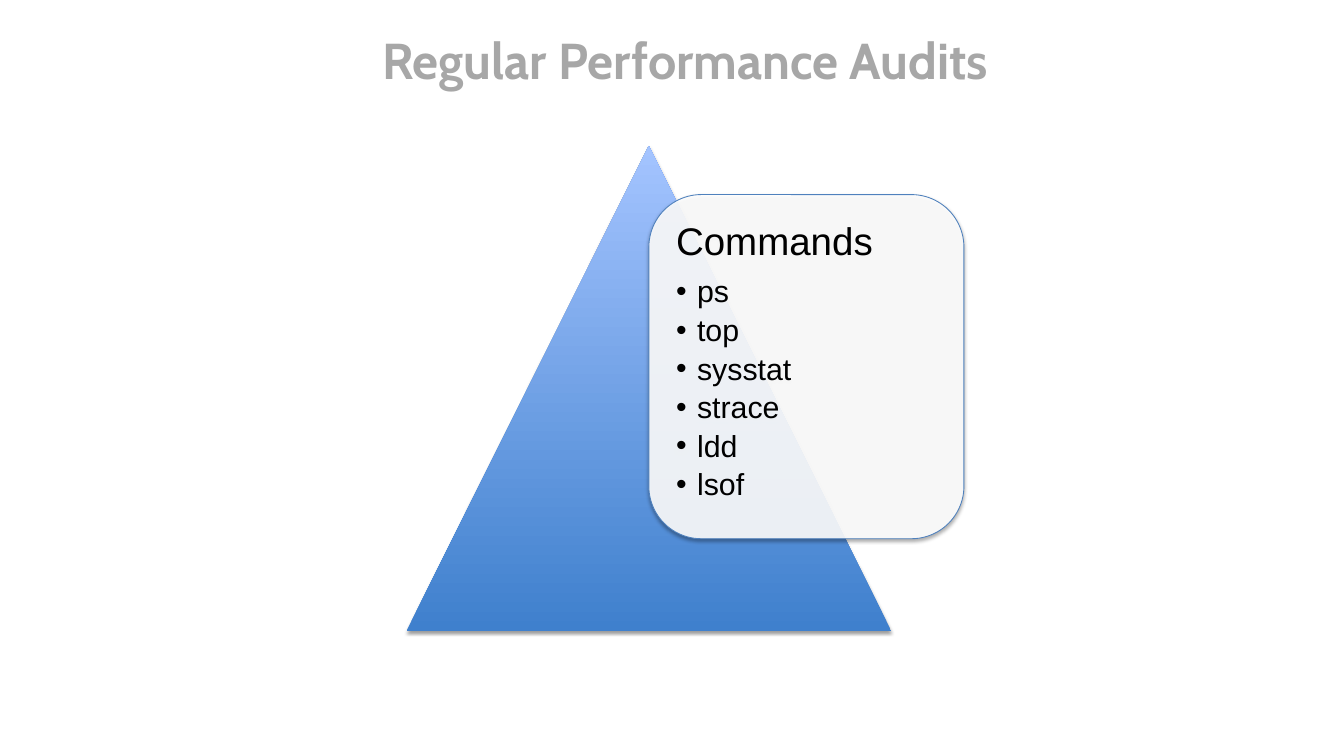
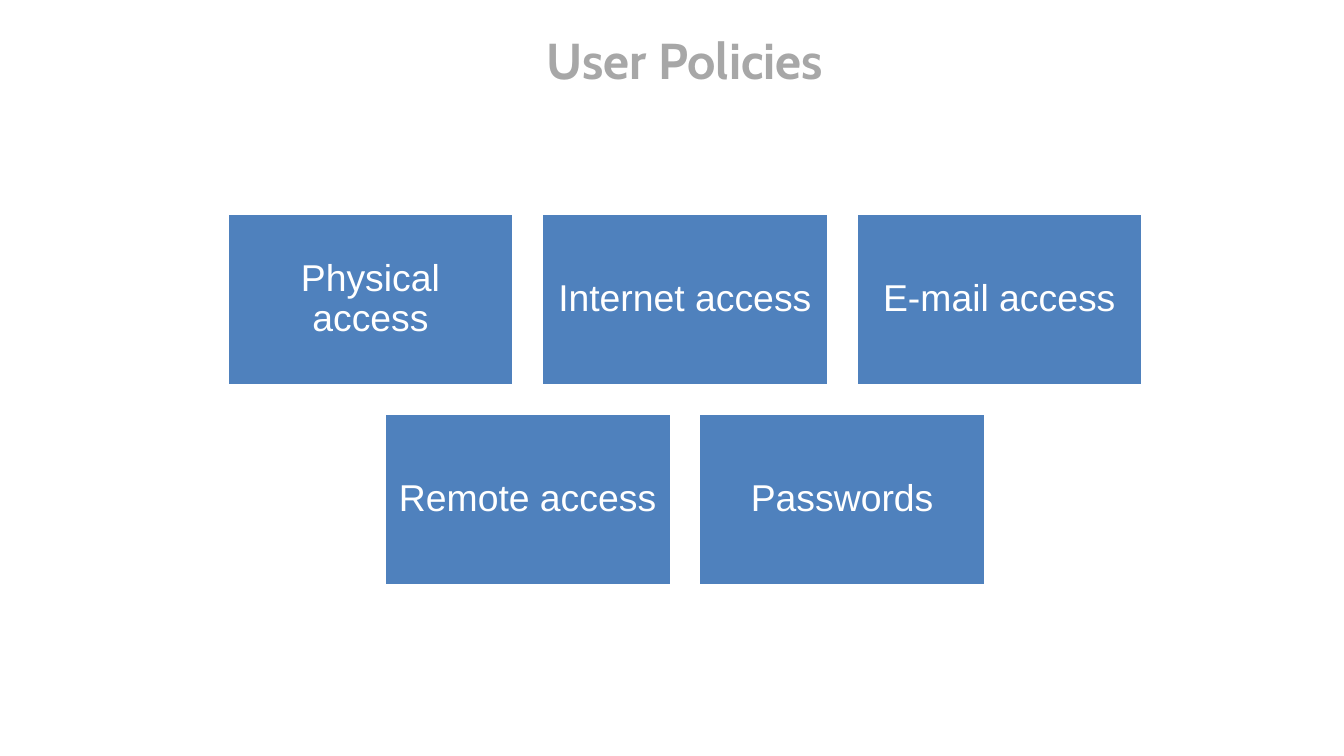
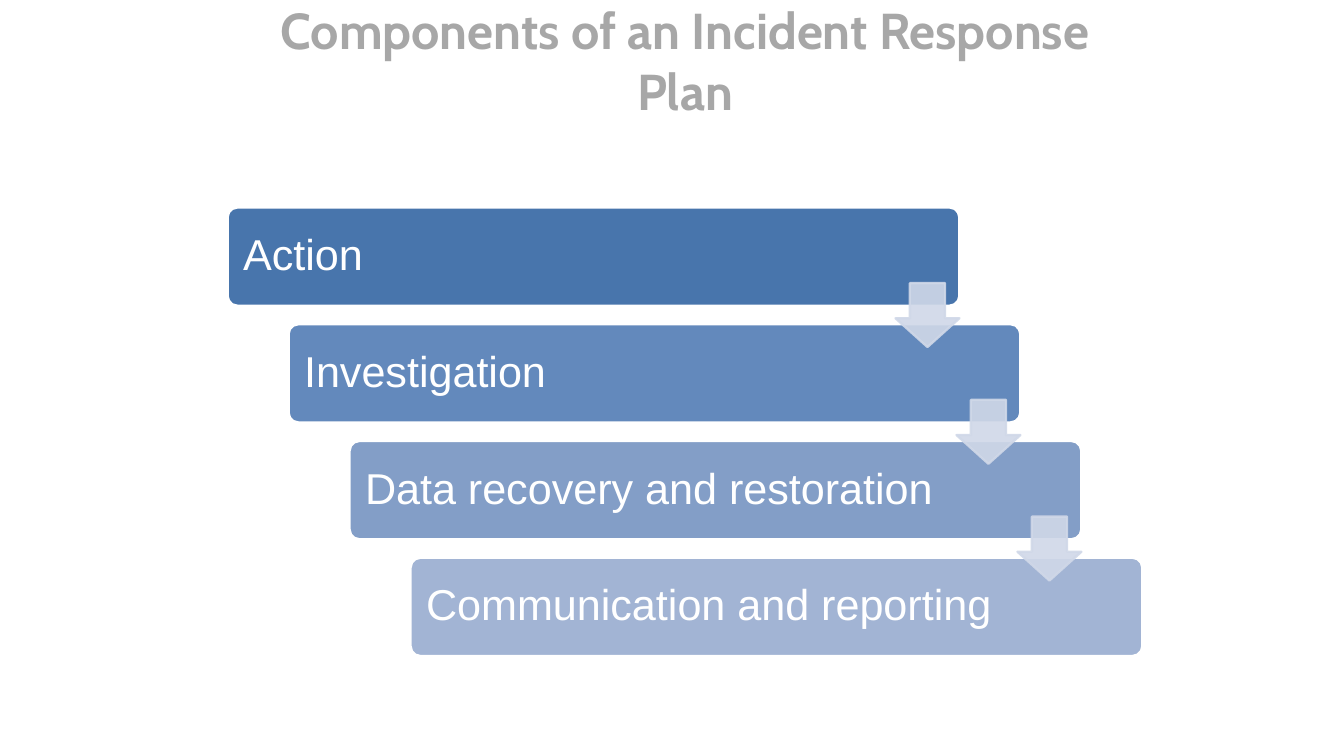
"""Builds three slides on system audits, user policies and incident response."""
from dataclasses import dataclass
from typing import Any, Optional

import lxml.etree
import pptx
import pptx.dml.color
import pptx.enum.shapes
import pptx.enum.text
import pptx.oxml.ns
import pptx.util

SLIDE_WIDTH, SLIDE_HEIGHT = 16, 9
CONTENT_LEFT, CONTENT_WIDTH = 2.71, 10.89
TITLE_FONT, BODY_FONT = "Cabin", "Arial"
COLORS = {
    "title": "A7A7A7",
    "white": "FFFFFF",
    "black": "000000",
    "accent": "4F81BD",
    "gradient_bottom": "3F80CD",
    "gradient_top": "A4C4FF",
    "arrow": "D0D8E8",
    "step_1": "4875AC",
    "step_2": "6389BC",
    "step_3": "839EC7",
    "step_4": "A2B4D4",
}
COMMANDS = ["ps", "top", "sysstat", "strace", "ldd", "lsof"]
POLICY_ROWS = [
    ["Physical access", "Internet access", "E-mail access"],
    ["Remote access", "Passwords"],
]
STEPS = ["Action", "Investigation", "Data recovery and restoration", "Communication and reporting"]
SHAPES = pptx.enum.shapes.MSO_SHAPE
ALIGN = pptx.enum.text.PP_ALIGN
ANCHOR = pptx.enum.text.MSO_ANCHOR


@dataclass
class Frame:
    """Position and size in inches."""

    left: float
    top: float
    width: float
    height: float


@dataclass
class Style:
    """Look of a shape."""

    fill: str
    line: Optional[str] = None
    line_width: float = 2
    fill_alpha: int = 100
    line_alpha: int = 100
    adjustments: tuple[float, ...] = ()


@dataclass
class Label:
    """Look of the text inside a shape."""

    size: float
    color: str
    inset: float
    align: Any = ALIGN.LEFT
    anchor: Any = ANCHOR.MIDDLE
    font: str = BODY_FONT
    bold: bool = False
    spacing: float = 0.9


TITLE_LABEL = Label(43.2, "title", 0.07, ALIGN.CENTER, font=TITLE_FONT, bold=True, spacing=1)
CARD_LABEL = Label(33, "black", 0.14, anchor=ANCHOR.TOP)
POLICY_LABEL = Label(32, "white", 0.13, ALIGN.CENTER)
STEP_LABEL = Label(37, "white", 0.15)
ARROW_STYLE = Style("arrow", "arrow", fill_alpha=90, line_alpha=90, adjustments=(0.55, 0.45))


def rgb(name: str) -> pptx.dml.color.RGBColor:
    """Return a named colour."""
    return pptx.dml.color.RGBColor.from_string(COLORS[name])


def add_child(parent: Any, tag: str, **attributes: Any) -> Any:
    """Append a drawing element with the given attributes."""
    values = {key: str(value) for key, value in attributes.items()}
    return lxml.etree.SubElement(parent, pptx.oxml.ns.qn(tag), values)


def set_alpha(parent: Any, percent: int) -> None:
    """Make the solid colour of a fill or line partly transparent."""
    if percent < 100:
        color = parent.find(pptx.oxml.ns.qn("a:solidFill"))[0]
        add_child(color, "a:alpha", val=percent * 1000)


def place(shape: Any, frame: Frame) -> None:
    """Move and size a shape."""
    shape.left, shape.top = pptx.util.Inches(frame.left), pptx.util.Inches(frame.top)
    shape.width, shape.height = pptx.util.Inches(frame.width), pptx.util.Inches(frame.height)


def format_paragraph(para: Any, label: Label, size: float) -> None:
    """Apply alignment, spacing and font to a paragraph."""
    para.alignment = label.align
    para.line_spacing = label.spacing
    for span in para.runs:
        span.font.name = label.font
        span.font.size = pptx.util.Pt(size)
        span.font.bold = label.bold
        span.font.color.rgb = rgb(label.color)


def write(shape: Any, text: str, label: Label) -> None:
    """Set and format the text of a shape."""
    text_frame = shape.text_frame
    text_frame.text = text
    text_frame.word_wrap = True
    text_frame.auto_size = pptx.enum.text.MSO_AUTO_SIZE.NONE
    text_frame.vertical_anchor = label.anchor
    inset = pptx.util.Inches(label.inset)
    text_frame.margin_left = text_frame.margin_right = inset
    text_frame.margin_top = text_frame.margin_bottom = inset
    format_paragraph(text_frame.paragraphs[0], label, label.size)


def add_bullets(shape: Any, items: list[str], label: Label, size: float, gap: float) -> None:
    """Append bulleted paragraphs to the text of a shape."""
    indent = pptx.util.Inches(0.25)
    for item in items:
        para = shape.text_frame.add_paragraph()
        para.text = item
        para.level = 1
        properties = para._p.get_or_add_pPr()
        properties.set("marL", str(indent))
        properties.set("indent", str(-indent))
        add_child(properties, "a:buFont", typeface=BODY_FONT)
        add_child(properties, "a:buChar", char="•")
        format_paragraph(para, label, size)
        para.space_after = pptx.util.Pt(gap)


def add_box(page: Any, kind: Any, frame: Frame, style: Style) -> Any:
    """Draw a preset shape without a shadow."""
    box = page.shapes.add_shape(kind, 0, 0, 0, 0)
    place(box, frame)
    for index, value in enumerate(style.adjustments):
        box.adjustments[index] = value
    box.shadow.inherit = False
    box.fill.solid()
    box.fill.fore_color.rgb = rgb(style.fill)
    set_alpha(box.element.spPr, style.fill_alpha)
    if style.line is None:
        box.line.fill.background()
    else:
        box.line.color.rgb = rgb(style.line)
        box.line.width = pptx.util.Pt(style.line_width)
        set_alpha(box.element.spPr.ln, style.line_alpha)
    return box


def add_shadow(box: Any, distance: float, alpha: int) -> None:
    """Give a shape a soft shadow straight below it."""
    effects = box.element.spPr.find(pptx.oxml.ns.qn("a:effectLst"))
    shadow = add_child(
        effects, "a:outerShdw", blurRad=pptx.util.Pt(3), dist=pptx.util.Pt(distance),
        dir=90 * 60000, rotWithShape=0,
    )
    color = add_child(shadow, "a:srgbClr", val=COLORS["black"])
    add_child(color, "a:alpha", val=alpha * 1000)


def add_page(deck: Any, title: str) -> Any:
    """Add a title-only slide with the shared title style."""
    page = deck.slides.add_slide(deck.slide_layouts.get_by_name("Title Only"))
    place(page.shapes.title, Frame(CONTENT_LEFT, 0.4, CONTENT_WIDTH, 0.62))
    write(page.shapes.title, title, TITLE_LABEL)
    return page


def build_audits(deck: Any) -> None:
    """Draw the pyramid with the card of commands."""
    page = add_page(deck, "Regular Performance Audits")
    left, top, side = 4.84, 1.74, 5.77
    pyramid = add_box(
        page, SHAPES.ISOSCELES_TRIANGLE, Frame(left, top, side, side), Style("gradient_bottom")
    )
    pyramid.fill.gradient()
    pyramid.fill.gradient_angle = 90
    for stop, name in zip(pyramid.fill.gradient_stops, ("gradient_bottom", "gradient_top")):
        stop.color.rgb = rgb(name)
    add_shadow(pyramid, 1.6, 38)
    card = add_box(
        page, SHAPES.ROUNDED_RECTANGLE,
        Frame(left + side / 2, top + side * 0.1, side * 0.65, side * 0.71),
        Style("white", "accent", 0.75, fill_alpha=90),
    )
    add_shadow(card, 1.8, 35)
    write(card, "Commands", CARD_LABEL)
    card.text_frame.paragraphs[0].space_after = pptx.util.Pt(CARD_LABEL.size * 0.35)
    add_bullets(card, COMMANDS, CARD_LABEL, 26, CARD_LABEL.size * 0.15)


def build_policies(deck: Any) -> None:
    """Draw the centred rows of policy boxes."""
    page = add_page(deck, "User Policies")
    width = CONTENT_WIDTH / 3.2
    height, gap = width * 0.6, width * 0.1
    for row, names in enumerate(POLICY_ROWS):
        row_width = len(names) * (width + gap) - gap
        row_left = CONTENT_LEFT + (CONTENT_WIDTH - row_width) / 2
        for column, name in enumerate(names):
            frame = Frame(
                row_left + column * (width + gap), 2.54 + row * (height + gap), width, height
            )
            box = add_box(page, SHAPES.RECTANGLE, frame, Style("accent", "white"))
            write(box, name, POLICY_LABEL)


def build_response(deck: Any) -> None:
    """Draw the staircase of steps and the arrows between them."""
    page = add_page(deck, "Components of an Incident Response Plan")
    width, height, pitch = CONTENT_WIDTH * 0.8, 1.17, 1.39
    shift = (CONTENT_WIDTH - width) / (len(STEPS) - 1)
    frames = [
        Frame(CONTENT_LEFT + index * shift, 2.47 + index * pitch, width, height)
        for index in range(len(STEPS))
    ]
    for number, (name, frame) in enumerate(zip(STEPS, frames), start=1):
        style = Style(f"step_{number}", "white", adjustments=(0.1,))
        write(add_box(page, SHAPES.ROUNDED_RECTANGLE, frame, style), name, STEP_LABEL)
    side = height * 0.65
    for frame in frames[:-1]:
        arrow = Frame(frame.left + width - side, frame.top + height * 0.77, side, side)
        add_box(page, SHAPES.DOWN_ARROW, arrow, ARROW_STYLE)


def main() -> None:
    """Build and save the deck."""
    deck = pptx.Presentation()
    deck.slide_width = pptx.util.Inches(SLIDE_WIDTH)
    deck.slide_height = pptx.util.Inches(SLIDE_HEIGHT)
    build_audits(deck)
    build_policies(deck)
    build_response(deck)
    deck.save("out.pptx")


if __name__ == "__main__":
    main()
